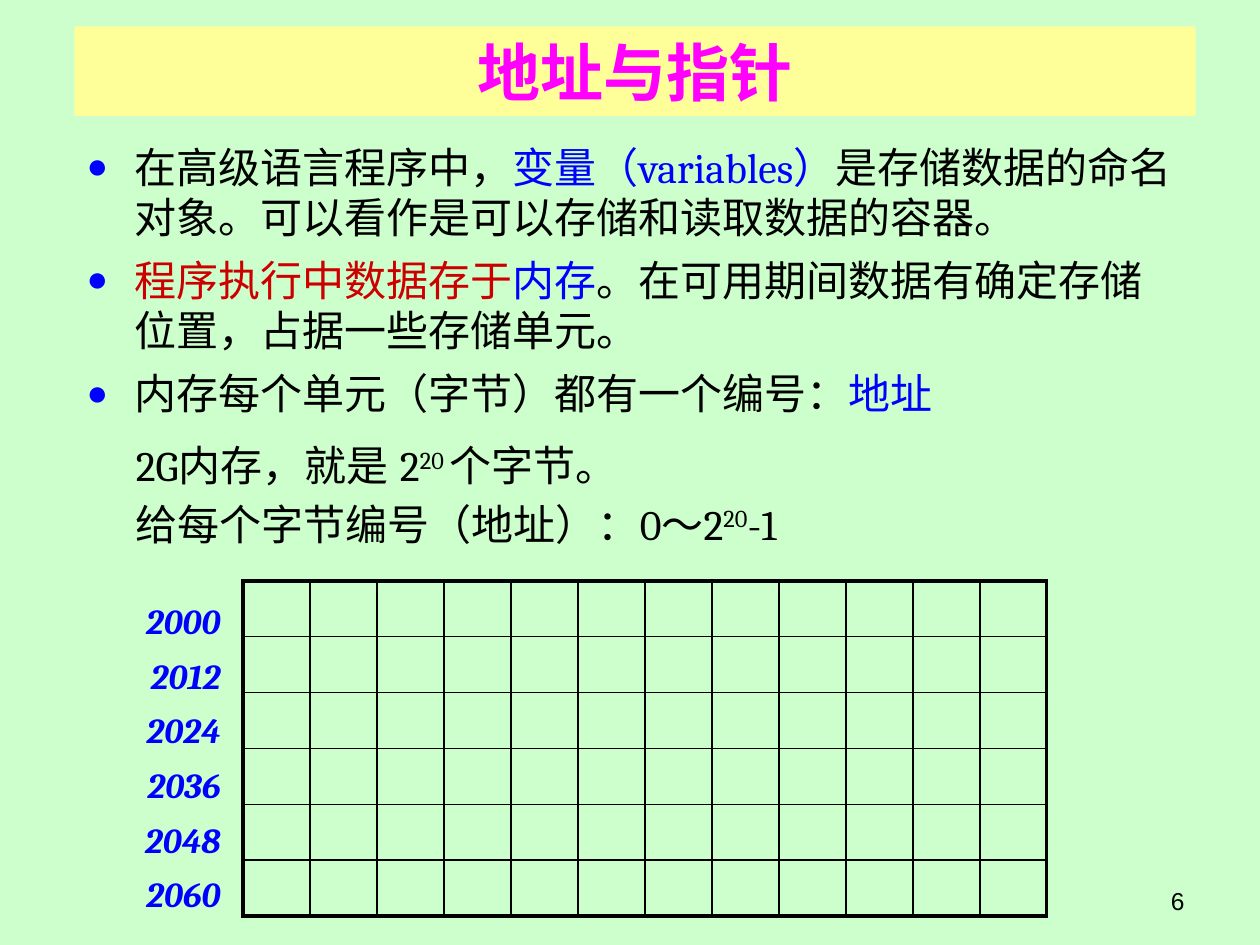
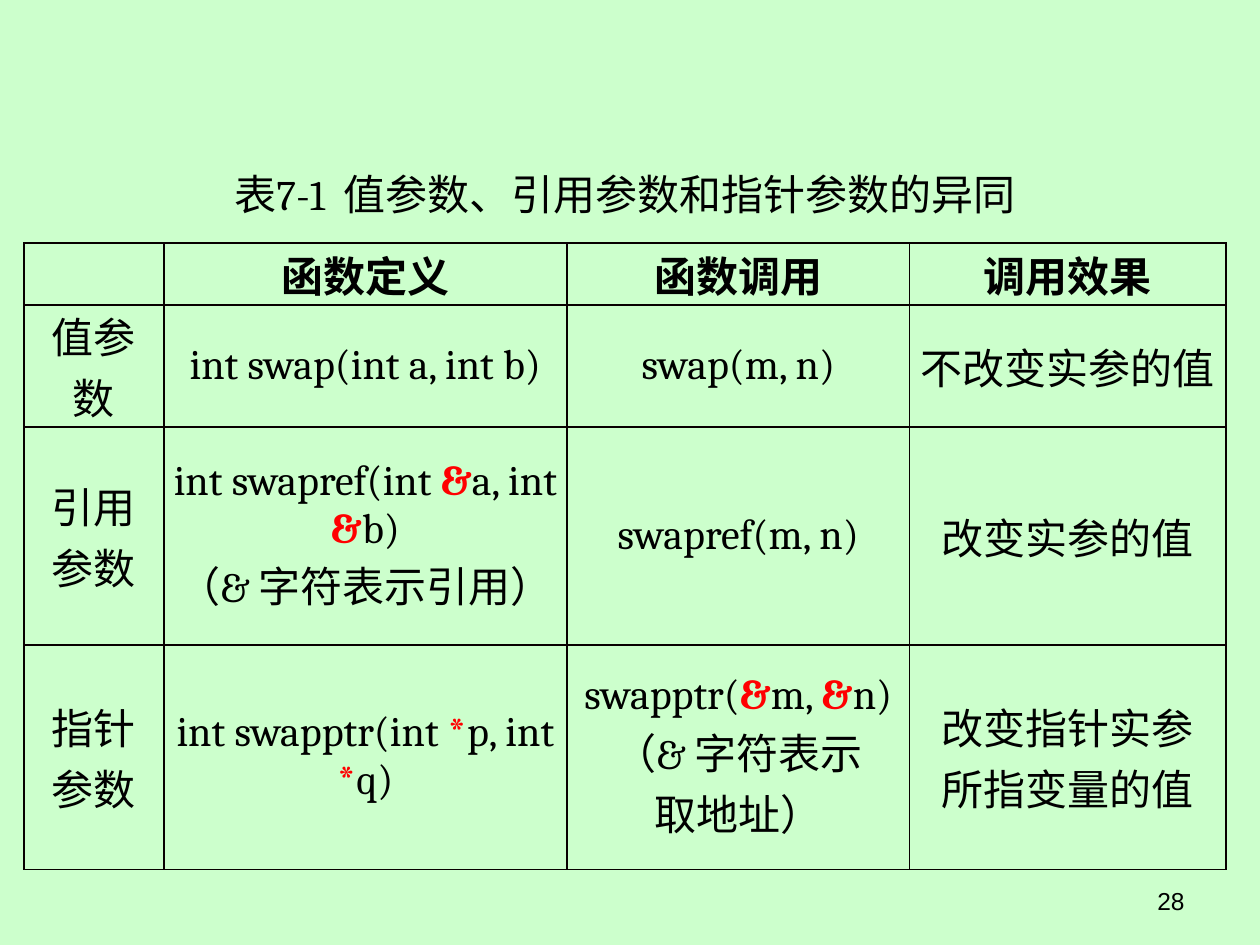
import dataclasses

import lxml.etree
import pptx
import pptx.dml.color
import pptx.enum.shapes
import pptx.enum.text
import pptx.oxml.ns
import pptx.util

Inches = pptx.util.Inches
Pt = pptx.util.Pt
ALIGN = pptx.enum.text.PP_ALIGN
ANCHOR = pptx.enum.text.MSO_ANCHOR


@dataclasses.dataclass(frozen=True)
class Theme:
    background: str = "CCFFCC"
    band: str = "FFFF99"
    title: str = "FF00FF"
    text: str = "000000"
    term: str = "0000FF"
    warning: str = "CC0000"
    mark: str = "FF0000"
    grid: str = "000000"
    comparison_grid: str = "080000"
    font: str = "Cambria"
    plain_font: str = "Arial"
    title_size: float = 36
    body_size: float = 24
    address_size: float = 20
    number_size: float = 14
    thin: float = 1
    thick: float = 2.25


THEME = Theme()
TERM = {"color": THEME.term}
RAISED = {"baseline": 30}
MARK = {"color": THEME.mark, "bold": True}


def color_of(value):
    return pptx.dml.color.RGBColor.from_string(value)


def add_xml(parent, tag, **attributes):
    return lxml.etree.SubElement(parent, pptx.oxml.ns.qn(tag), attributes)


# Text
def add_span(para, text, size=THEME.body_size, color=THEME.text, font=THEME.font,
             east_asian=THEME.plain_font, bold=False, italic=False, baseline=0):
    span = para.add_run()
    span.text = text
    span.font.size = Pt(size)
    span.font.color.rgb = color_of(color)
    span.font.name = font
    span.font.bold = bold
    span.font.italic = italic
    properties = span.font._element
    if baseline:
        properties.set("baseline", str(baseline * 1000))
    if east_asian:
        add_xml(properties, "a:ea", typeface=east_asian)


def add_bullet(para):
    properties = para._p.get_or_add_pPr()
    properties.set("marL", str(Inches(0.38)))
    properties.set("indent", str(-Inches(0.38)))
    bullet_color = add_xml(properties, "a:buClr")
    add_xml(bullet_color, "a:srgbClr", val=THEME.term)
    add_xml(properties, "a:buSzPct", val="85000")
    add_xml(properties, "a:buFont", typeface=THEME.plain_font)
    add_xml(properties, "a:buChar", char="●")


def write_text(frame, paragraphs, align=ALIGN.LEFT, gap=0, line_spacing=None,
               bullet=False, **span_format):
    """Each paragraph is a string or a list of strings and (string, format) pairs."""
    for index, parts in enumerate(paragraphs):
        para = frame.add_paragraph() if index else frame.paragraphs[0]
        if bullet:
            add_bullet(para)
        para.alignment = align
        if line_spacing:
            para.line_spacing = line_spacing
        if index and gap:
            para.space_before = Pt(gap)
        for part in [parts] if isinstance(parts, str) else parts:
            text, own_format = (part, {}) if isinstance(part, str) else part
            add_span(para, text, **{**span_format, **own_format})


def add_text(page, box, paragraphs, **text_format):
    shape = page.shapes.add_textbox(*map(Inches, box))
    shape.text_frame.word_wrap = True
    write_text(shape.text_frame, paragraphs, **text_format)


# Tables
def set_border(cell, side, width, color):
    properties = cell._tc.get_or_add_tcPr()
    line = add_xml(properties, "a:ln" + side, w=str(Pt(width)))
    if width:
        fill = add_xml(line, "a:solidFill")
        add_xml(fill, "a:srgbClr", val=color)
    else:
        add_xml(line, "a:noFill")


def add_plain_table(page, box, columns, rows):
    frame = page.shapes.add_table(len(rows), len(columns), *map(Inches, box))
    table = frame.table
    table.first_row = table.horz_banding = False
    for column, width in zip(table.columns, columns):
        column.width = Inches(width)
    for row, height in zip(table.rows, rows):
        row.height = Inches(height)
    return table


def style_cell(cell, widths, color):
    for side, width in zip("LRTB", widths):
        set_border(cell, side, width, color)
    cell.fill.background()


# Parts shared by the slides
def add_page(deck, number):
    page = deck.slides.add_slide(deck.slide_layouts[6])
    add_text(page, (7.17, 6.98, 2.33, 0.37), [number], align=ALIGN.RIGHT,
             size=THEME.number_size, font=THEME.plain_font)
    return page


def add_title(page, box, text):
    band = page.shapes.add_shape(pptx.enum.shapes.MSO_SHAPE.RECTANGLE, *map(Inches, box))
    band.shadow.inherit = False
    band.fill.solid()
    band.fill.fore_color.rgb = color_of(THEME.band)
    band.line.fill.background()
    band.text_frame.vertical_anchor = ANCHOR.MIDDLE
    write_text(band.text_frame, [text], align=ALIGN.CENTER,
               size=THEME.title_size, color=THEME.title, bold=True)


# Memory grid with the address of each row's first byte
def add_memory(page, box, row_count=6, column_count=12, first_address=2000):
    left, top, width, height = box
    table = add_plain_table(page, box, [width / column_count] * column_count,
                            [height / row_count] * row_count)
    for row in range(row_count):
        for column in range(column_count):
            on_edge = (column == 0, column == column_count - 1,
                       row == 0, row == row_count - 1)
            widths = [THEME.thick if edge else THEME.thin for edge in on_edge]
            style_cell(table.cell(row, column), widths, THEME.grid)
    addresses = [str(first_address + row * column_count) for row in range(row_count)]
    add_text(page, (left - 0.95, top, 0.87, height + 0.07), addresses,
             align=ALIGN.RIGHT, line_spacing=1.3, size=THEME.address_size,
             color=THEME.term, bold=True, italic=True)


# Comparison table with a caption across its first row
def add_comparison(page, box, columns, heights, caption, rows):
    table = add_plain_table(page, box, columns, heights)
    table.cell(0, 0).merge(table.cell(0, len(columns) - 1))
    contents = [[[caption]] + [[]] * (len(columns) - 1)] + rows
    for row, row_contents in enumerate(contents):
        for column, paragraphs in enumerate(row_contents):
            cell = table.cell(row, column)
            widths = [THEME.thin if row else 0] * 3 + [THEME.thin]
            style_cell(cell, widths, THEME.comparison_grid)
            cell.margin_left = cell.margin_right = Inches(0.07)
            cell.margin_top = cell.margin_bottom = 0
            cell.vertical_anchor = ANCHOR.MIDDLE
            write_text(cell.text_frame, paragraphs, align=ALIGN.CENTER,
                       bold=row == 1, east_asian=None)


# Slides
def build_address_slide(deck):
    page = add_page(deck, "6")
    add_title(page, (0.59, 0.21, 8.9, 0.71), "地址与指针")
    add_text(page, (0.59, 1.07, 8.9, 5.91), [
        ["在高级语言程序中，", ("变量（variables）", TERM),
         "是存储数据的命名对象。可以看作是可以存储和读取数据的容器。"],
        [("程序执行中数据存于", {"color": THEME.warning}), ("内存", TERM),
         "。在可用期间数据有确定存储位置，占据一些存储单元。"],
        ["内存每个单元（字节）都有一个编号：", ("地址", TERM)],
    ], bullet=True, gap=7.2)
    add_text(page, (0.98, 3.44, 8.03, 0.99), [
        ["2G内存，就是 2", ("20 ", RAISED), "个字节。"],
        ["给每个字节编号（地址）：0～2", ("20", RAISED), "-1"],
    ], gap=4.8)
    add_memory(page, (1.93, 4.61, 6.38, 2.66))


def build_parameter_slide(deck):
    page = add_page(deck, "28")
    ampersand, star = ("&", MARK), ("*", MARK)
    rows = [
        [[], ["函数定义"], ["函数调用"], ["调用效果"]],
        [["值参数"], ["int swap(int a, int b)"], ["swap(m, n)"], ["不改变实参的值"]],
        [["引用参数"],
         [["int swapref(int ", ampersand, "a, int ", ampersand, "b)"],
          "（& 字符表示引用）"],
         ["swapref(m, n)"], ["改变实参的值"]],
        [["指针参数"],
         [["int swapptr(int ", star, "p, int ", star, "q)"]],
         [["swapptr(", ampersand, "m, ", ampersand, "n)（& 字符表示"], "取地址）"],
         ["改变指针实参", "所指变量的值"]],
    ]
    add_comparison(page, (0.19, 1.12, 9.54, 5.78), [1.11, 3.2, 2.72, 2.51],
                   [0.81, 0.49, 0.97, 1.73, 1.78],
                   "表7-1  值参数、引用参数和指针参数的异同", rows)


def main():
    deck = pptx.Presentation()
    deck.slide_width, deck.slide_height = Inches(10), Inches(7.5)
    backdrop = deck.slide_master.background.fill
    backdrop.solid()
    backdrop.fore_color.rgb = color_of(THEME.background)
    build_address_slide(deck)
    build_parameter_slide(deck)
    deck.save("out.pptx")


if __name__ == "__main__":
    main()
